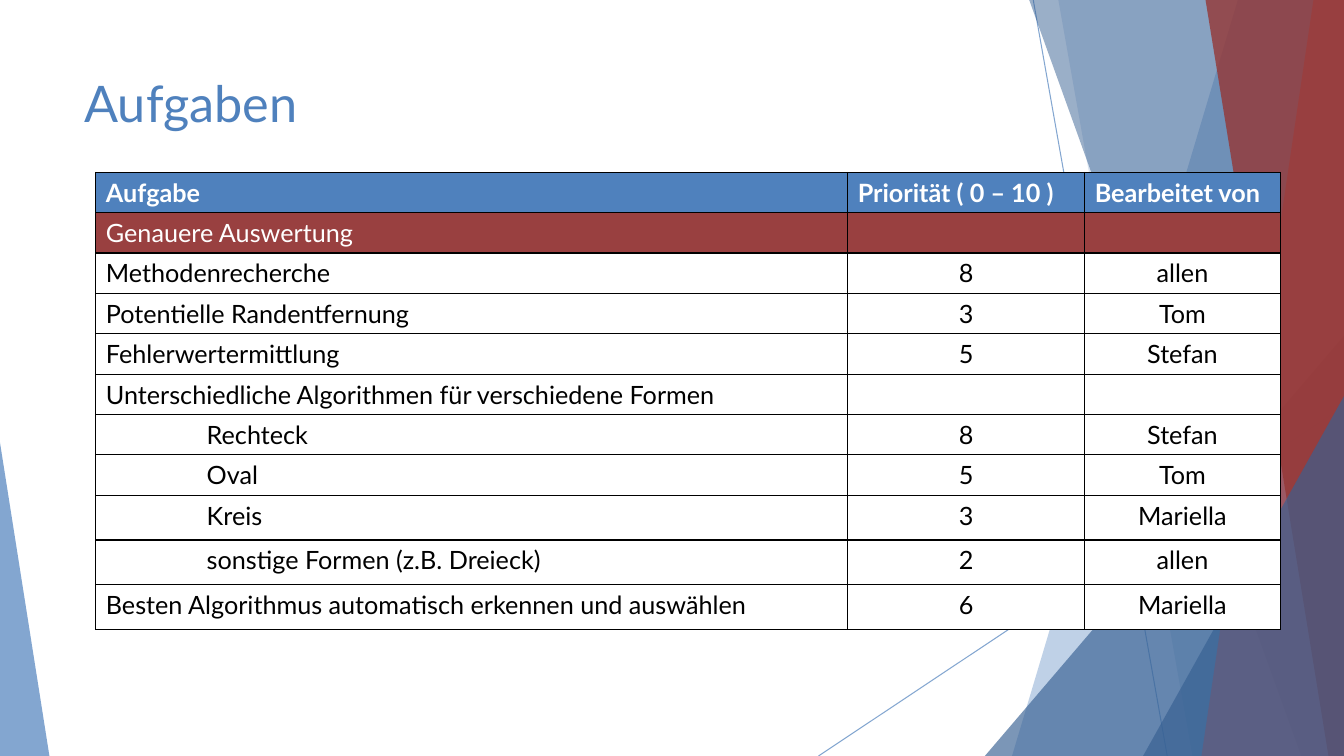
from dataclasses import dataclass

from lxml.etree import SubElement
from pptx import Presentation
from pptx.dml.color import RGBColor
from pptx.enum.shapes import MSO_CONNECTOR, MSO_SHAPE
from pptx.enum.text import PP_ALIGN
from pptx.oxml.ns import qn
from pptx.util import Emu, Inches, Pt


@dataclass(frozen=True)
class Theme:
    font: str = "Lato"
    blue: str = "4F81BD"
    navy: str = "376092"
    red: str = "C0504D"
    dark_red: str = "953735"
    section: str = "994040"
    white: str = "FFFFFF"
    black: str = "000000"
    title_size: int = 36
    body_size: int = 18


@dataclass(frozen=True)
class Ray:
    """Thin line between two points."""
    x1: float
    y1: float
    x2: float
    y2: float


@dataclass(frozen=True)
class Panel:
    """Full-height area from a slanted left edge to the right slide edge."""
    top_x: float
    bottom_x: float
    color: str
    alpha: int


@dataclass(frozen=True)
class Wedge:
    """Triangle standing on the bottom slide edge; apex 0 is left, 1 right."""
    left: float
    top: float
    width: float
    apex: int
    color: str
    alpha: int


@dataclass(frozen=True)
class Task:
    name: str
    priority: str = ""
    person: str = ""
    indented: bool = False
    fill: str = "FFFFFF"
    color: str = "000000"
    bold: bool = False
    centered: bool = True


T = Theme()
prs = Presentation()
prs.slide_width, prs.slide_height = Inches(13.333), Inches(7.5)
slide = prs.slides.add_slide(prs.slide_layouts[6])


# Lengths are percentages of the slide's width and height
def px(share: float) -> Emu:
    return Emu(round(prs.slide_width * share / 100))


def py(share: float) -> Emu:
    return Emu(round(prs.slide_height * share / 100))


def set_color(fill, color: str, alpha: int = 100) -> None:
    fill.solid()
    fill.fore_color.rgb = RGBColor.from_string(color)
    if alpha < 100:
        clr = fill._xPr.find(".//" + qn("a:srgbClr"))
        SubElement(clr, qn("a:alpha"), val=str(alpha * 1000))


def write(tf, text: str, *, size: int, color: str, bold: bool = False,
          align: PP_ALIGN = PP_ALIGN.LEFT, indent: int = 0) -> None:
    p = tf.paragraphs[0]
    p.alignment = align
    if indent:
        p._p.get_or_add_pPr().set("marL", str(indent))
    if not text:
        SubElement(p._p, qn("a:endParaRPr"), sz=str(size * 100))
        SubElement(p._p[-1], qn("a:latin"), typeface=T.font)
        return
    r = p.add_run()
    r.text = text
    r.font.name, r.font.size, r.font.bold = T.font, Pt(size), bold
    r.font.color.rgb = RGBColor.from_string(color)


def finish(sp, color: str, alpha: int) -> None:
    sp.shadow.inherit = False
    sp.line.fill.background()
    set_color(sp.fill, color, alpha)


def draw_ray(ray: Ray) -> None:
    line = slide.shapes.add_connector(MSO_CONNECTOR.STRAIGHT, px(ray.x1), py(ray.y1),
                                      px(ray.x2), py(ray.y2))
    line.line.width = Pt(0.75)
    set_color(line.line.fill, T.blue, 70)
    SubElement(line._element.spPr, qn("a:effectLst"))


def draw_panel(panel: Panel) -> None:
    fb = slide.shapes.build_freeform(px(panel.top_x), 0)
    fb.add_line_segments([(px(100), 0), (px(100), py(100)), (px(panel.bottom_x), py(100))])
    finish(fb.convert_to_shape(), panel.color, panel.alpha)


def draw_wedge(wedge: Wedge) -> None:
    sp = slide.shapes.add_shape(MSO_SHAPE.ISOSCELES_TRIANGLE, px(wedge.left), py(wedge.top),
                                px(wedge.width), py(100 - wedge.top))
    sp.adjustments[0] = wedge.apex
    finish(sp, wedge.color, wedge.alpha)


def fill_cell(cell, text: str, task: Task, *, centered: bool, indent: int = 0) -> None:
    tc_pr = cell._tc.get_or_add_tcPr()
    for side in "LRTB":
        ln = SubElement(tc_pr, qn(f"a:ln{side}"), w=str(Pt(1)))
        SubElement(SubElement(ln, qn("a:solidFill")), qn("a:srgbClr"), val=T.black)
    set_color(cell.fill, task.fill)
    write(cell.text_frame, text, size=T.body_size, color=task.color, bold=task.bold,
          align=PP_ALIGN.CENTER if centered else PP_ALIGN.LEFT, indent=indent)


# Background facets, back to front
DRAW = {Ray: draw_ray, Panel: draw_panel, Wedge: draw_wedge}
FACETS = [
    Ray(76.88, 0, 86.85, 100),
    Ray(100, 53.73, 60.9, 100),
    Panel(92.1, 75.3, T.blue, 36),
    Panel(78.75, 88.73, T.blue, 20),
    Wedge(73.28, 44.4, 26.72, 1, T.navy, 66),
    Panel(76.58, 96.83, T.navy, 50),
    Panel(97.73, 89.4, T.red, 70),
    Panel(89.7, 98.85, T.dark_red, 80),
    Wedge(85.05, 52.4, 14.95, 1, T.navy, 66),
    Wedge(0, 58.53, 3.68, 0, T.blue, 70),
]
for facet in FACETS:
    DRAW[type(facet)](facet)

# Title
title = slide.shapes.add_textbox(px(5.55), py(8.93), px(70.5), py(19.2))
title.text_frame.word_wrap = True
write(title.text_frame, "Aufgaben", size=T.title_size, color=T.blue)

# Task table
TASKS = [
    Task("Aufgabe", "Priorität ( 0 – 10 )", "Bearbeitet von",
         fill=T.blue, color=T.white, bold=True, centered=False),
    Task("Genauere Auswertung", fill=T.section, color=T.white),
    Task("Methodenrecherche", "8", "allen"),
    Task("Potentielle Randentfernung", "3", "Tom"),
    Task("Fehlerwertermittlung", "5", "Stefan"),
    Task("Unterschiedliche Algorithmen für verschiedene Formen"),
    Task("Rechteck", "8", "Stefan", indented=True),
    Task("Oval", "5", "Tom", indented=True),
    Task("Kreis", "3", "Mariella", indented=True),
    Task("sonstige Formen (z.B. Dreieck)", "2", "allen", indented=True),
    Task("Besten Algorithmus automatisch erkennen und auswählen", "6", "Mariella"),
]
COLUMNS = [55.95, 17.63, 14.55]
ROWS = [5.33] * 8 + [5.92] * 3

table = slide.shapes.add_table(len(TASKS), len(COLUMNS), px(7.13), py(22.8),
                               px(sum(COLUMNS)), py(sum(ROWS))).table
table.first_row = table.horz_banding = False
for column, width in zip(table.columns, COLUMNS):
    column.width = px(width)
for row, height, task in zip(table.rows, ROWS, TASKS):
    row.height = py(height)
    name, priority, person = row.cells
    fill_cell(name, task.name, task, centered=False, indent=Inches(1) if task.indented else 0)
    fill_cell(priority, task.priority, task, centered=task.centered)
    fill_cell(person, task.person, task, centered=task.centered)

prs.save("out.pptx")
